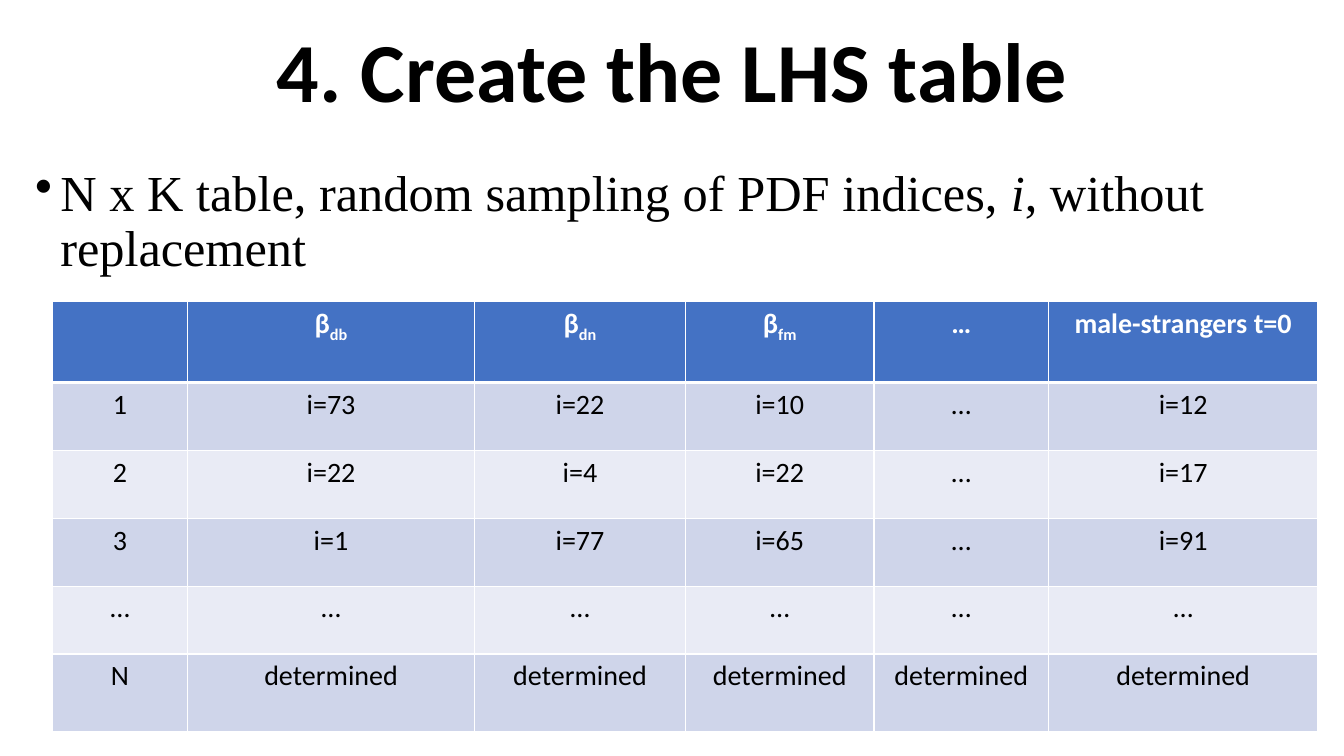
"""Builds the slide on creating the LHS table."""
from lxml.etree import SubElement
from pptx import Presentation
from pptx.dml.color import RGBColor
from pptx.enum.text import MSO_ANCHOR, PP_ALIGN
from pptx.oxml.ns import qn
from pptx.util import Pt

TITLE = "4. Create the LHS table"
BULLET = [("N x K table, random sampling of PDF indices, ", {}),
          ("i", {"italic": True}), (", without replacement", {})]
HEADERS = [("", ""), ("β", "db"), ("β", "dn"), ("β", "fm"), ("…", ""),
           ("male-strangers t=0", "")]
SAMPLES = [
    ["1", "i=73", "i=22", "i=10", "…", "i=12"],
    ["2", "i=22", "i=4", "i=22", "…", "i=17"],
    ["3", "i=1", "i=77", "i=65", "…", "i=91"],
    ["…"] * 6,
    ["N"] + ["determined"] * 5,
]
COLUMN_WIDTHS = [96.4, 205.2, 150.5, 134.8, 124.6, 192.4]
ROW_HEIGHTS = [57.8] + [48.5] * 4 + [55.5]
HEADER_FILL, BAND_FILLS = "4472C4", ["CFD5EA", "E9EBF5"]
BLACK, WHITE = "000000", "FFFFFF"


def color(code):
    return RGBColor.from_string(code)


def add_text(paragraph, text, size=20, font="Calibri", ink=BLACK,
             bold=False, italic=False, subscript=False):
    run = paragraph.add_run()
    run.text = text
    run.font.size, run.font.name = Pt(size), font
    run.font.bold, run.font.italic = bold, italic
    run.font.color.rgb = color(ink)
    if subscript:
        run.font._element.set("baseline", "-25000")


def add_box(slide, left, top, width, height, anchor):
    frame = slide.shapes.add_textbox(Pt(left), Pt(top), Pt(width), Pt(height)).text_frame
    frame.word_wrap = True
    frame.vertical_anchor = anchor
    paragraph = frame.paragraphs[0]
    paragraph.line_spacing = 0.9
    return paragraph


def add_bullet(paragraph, indent):
    properties = paragraph._p.get_or_add_pPr()
    properties.set("marL", str(Pt(indent)))
    properties.set("indent", str(Pt(-indent)))
    SubElement(properties, qn("a:buChar"), char="•")


def style_cell(cell, fill, bottom):
    properties = cell._tc.get_or_add_tcPr()
    for side, width in (("L", 1), ("R", 1), ("T", 1), ("B", bottom)):
        border = SubElement(properties, qn(f"a:ln{side}"), w=str(Pt(width)))
        SubElement(SubElement(border, qn("a:solidFill")), qn("a:srgbClr"), val=WHITE)
    cell.fill.solid()
    cell.fill.fore_color.rgb = color(fill)


def add_lhs_table(slide, left, top):
    rows = [HEADERS] + [[(value, "") for value in sample] for sample in SAMPLES]
    table = slide.shapes.add_table(
        len(rows), len(HEADERS), Pt(left), Pt(top),
        Pt(sum(COLUMN_WIDTHS)), Pt(sum(ROW_HEIGHTS))).table
    for column, width in zip(table.columns, COLUMN_WIDTHS):
        column.width = Pt(width)
    for r, (row, height) in enumerate(zip(rows, ROW_HEIGHTS)):
        table.rows[r].height = Pt(height)
        header = r == 0
        fill = HEADER_FILL if header else BAND_FILLS[(r - 1) % 2]
        for c, (label, index) in enumerate(row):
            cell = table.cell(r, c)
            style_cell(cell, fill, bottom=3 if header else 1)
            paragraph = cell.text_frame.paragraphs[0]
            paragraph.alignment = PP_ALIGN.CENTER
            ink = WHITE if header else BLACK
            if label:
                add_text(paragraph, label, ink=ink, bold=header)
            if index:
                add_text(paragraph, index, ink=ink, bold=header, subscript=True)


def main():
    deck = Presentation()
    deck.slide_width, deck.slide_height = Pt(960), Pt(540)
    slide = deck.slides.add_slide(deck.slide_layouts[6])

    title = add_box(slide, 0, 1.5, 960, 104.4, MSO_ANCHOR.MIDDLE)
    title.alignment = PP_ALIGN.CENTER
    add_text(title, TITLE, size=60, bold=True)

    sampling = add_box(slide, 18, 116.6, 925, 422, MSO_ANCHOR.TOP)
    sampling.space_after = Pt(12)
    add_bullet(sampling, 18)
    for text, emphasis in BULLET:
        add_text(sampling, text, size=36, font="Times New Roman", **emphasis)

    add_lhs_table(slide, 37.5, 215.5)
    deck.save("out.pptx")


if __name__ == "__main__":
    main()
